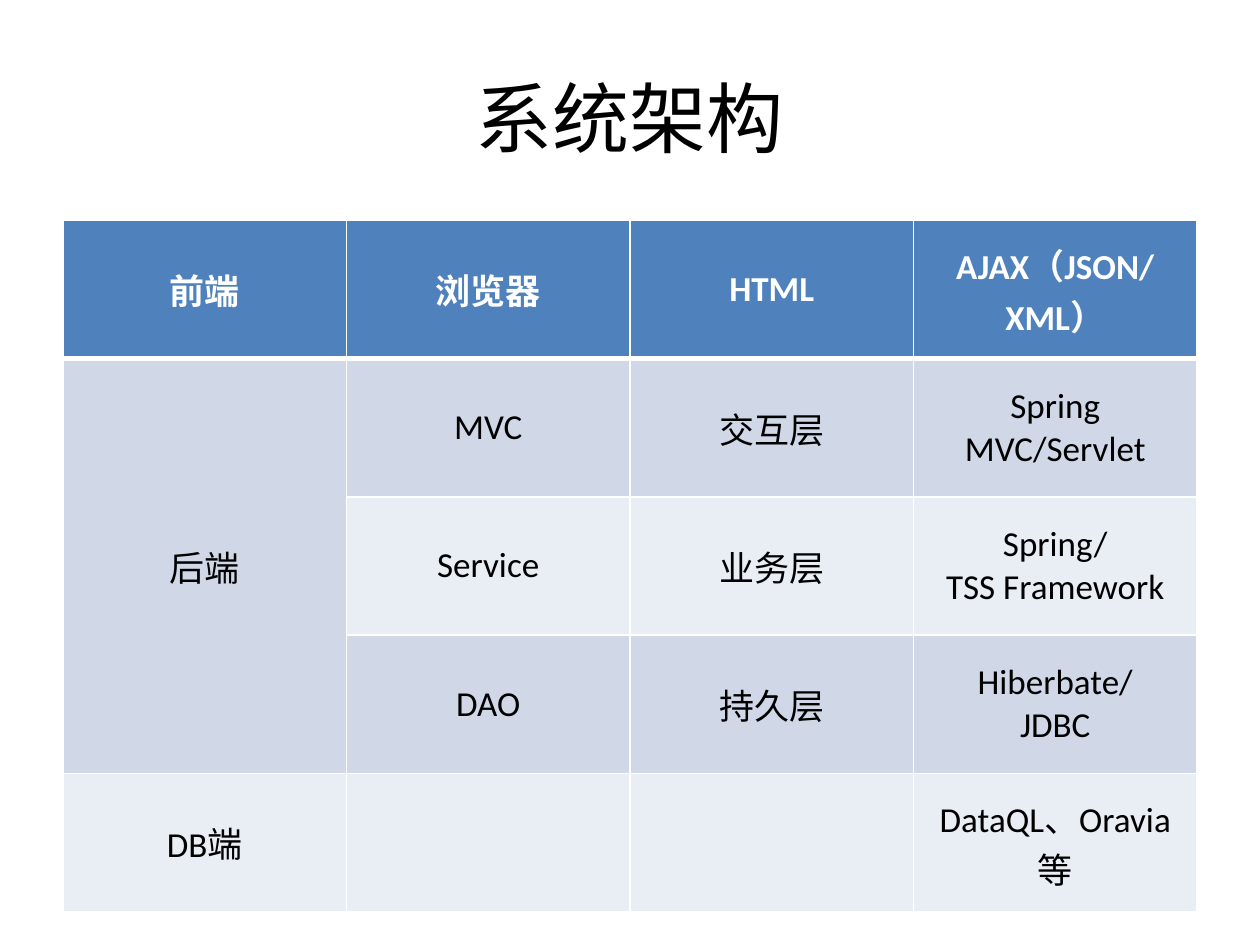
from lxml import etree
from pptx import Presentation
from pptx.dml.color import RGBColor
from pptx.enum.text import MSO_ANCHOR, PP_ALIGN
from pptx.oxml.ns import qn
from pptx.util import Pt

CENTER = PP_ALIGN.CENTER
MIDDLE = MSO_ANCHOR.MIDDLE
COLORS = {"text": "000000", "white": "FFFFFF", "head": "4F81BD",
          "dark": "D0D8E8", "light": "E9EDF4"}
ROWS = [
    ["前端", "浏览器", "HTML", "AJAX（JSON/XML）"],
    ["后端", "MVC", "交互层", "Spring MVC/Servlet"],
    ["", "Service", "业务层", "Spring/\nTSS Framework"],
    ["", "DAO", "持久层", "Hiberbate/\nJDBC"],
    ["DB端", "", "", "DataQL、Oravia等"],
]


class Deck:
    font = "Calibri"

    def __init__(self, width, height):
        self.prs = Presentation()
        self.prs.slide_width, self.prs.slide_height = Pt(width), Pt(height)
        self.slide = self.prs.slides.add_slide(self.prs.slide_layouts[5])

    def label(self, frame, text, size, color="text", bold=False):
        frame.text = text
        for para in frame.paragraphs:
            para.alignment = CENTER
            for run in para.runs:
                run.font.name = self.font
                run.font.size = Pt(size)
                run.font.bold = bold
                run.font.color.rgb = RGBColor.from_string(COLORS[color])

    def title(self, text, left, top, width, height):
        box = self.slide.shapes.title
        box.left, box.top, box.width, box.height = map(Pt, (left, top, width, height))
        box.text_frame.vertical_anchor = MIDDLE
        self.label(box.text_frame, text, 44)

    def border(self, cell, widths):
        props = cell._tc.get_or_add_tcPr()
        for spot, (side, width) in enumerate(widths.items()):
            line = etree.Element(qn("a:ln" + side), w=str(Pt(width)))
            fill = etree.SubElement(line, qn("a:solidFill"))
            etree.SubElement(fill, qn("a:srgbClr"), val=COLORS["white"])
            props.insert(spot, line)

    def table(self, rows, left, top, width, height):
        frame = self.slide.shapes.add_table(
            len(rows), len(rows[0]), *map(Pt, (left, top, width, height)))
        grid = frame.table
        for r, row in enumerate(rows):
            head = r == 0
            shade = "head" if head else "dark" if r % 2 else "light"
            for c, text in enumerate(row):
                cell = grid.cell(r, c)
                cell.vertical_anchor = MIDDLE
                cell.fill.solid()
                cell.fill.fore_color.rgb = RGBColor.from_string(COLORS[shade])
                self.label(cell.text_frame, text, 20,
                           "white" if head else "text", head)
                # A thick rule parts the header from the body
                self.border(cell, {"L": 1, "R": 1, "T": 3 if r == 1 else 1,
                                   "B": 3 if head else 1})
        return grid


deck = Deck(720, 540)

# Title
deck.title("系统架构", 36, 21.6, 648, 90)

# Layers of the system, with the back end spanning three rows
grid = deck.table(ROWS, 36, 126, 648, 395)
grid.cell(1, 0).merge(grid.cell(3, 0))

deck.prs.save("out.pptx")
